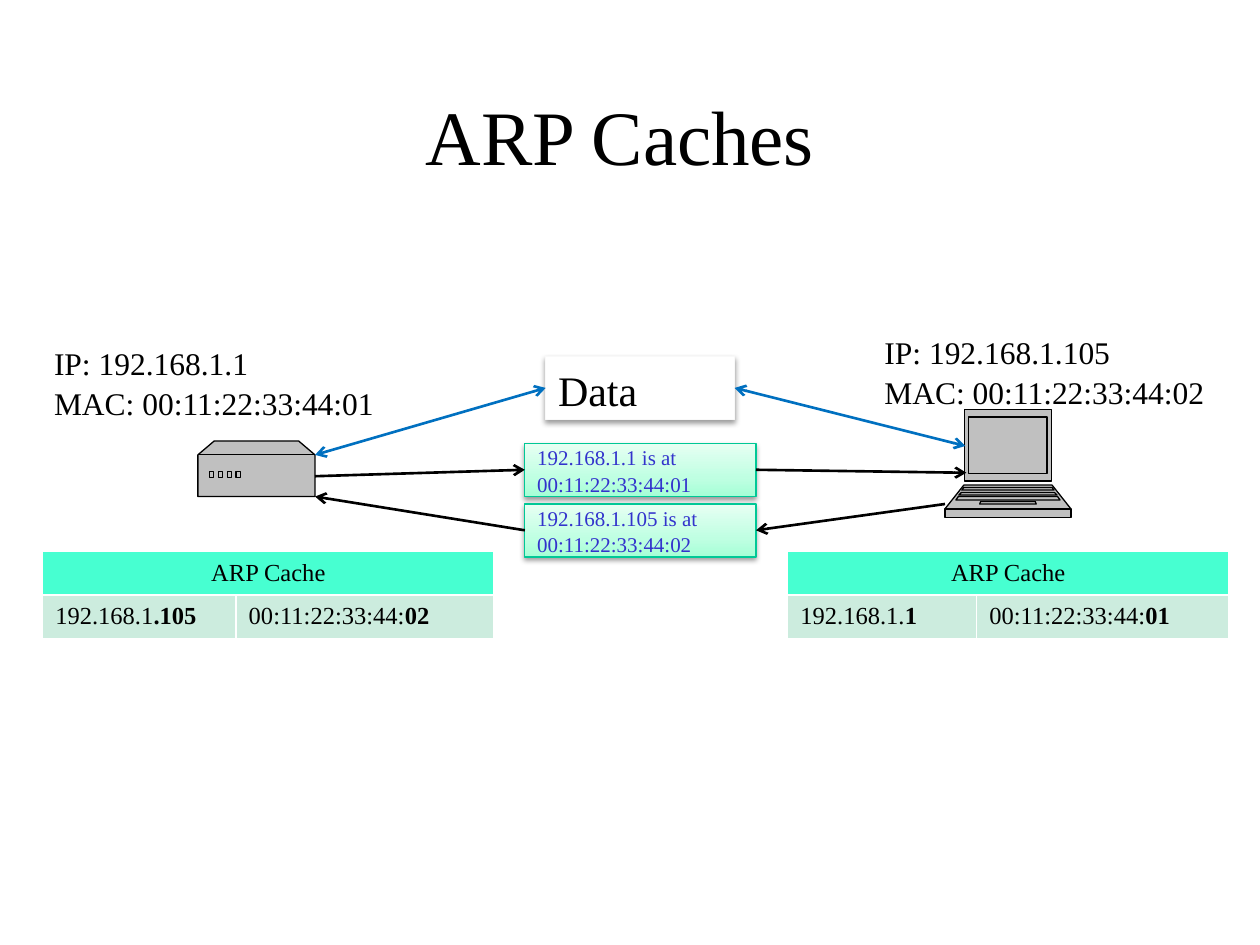
from copy import deepcopy

from lxml.etree import SubElement
from pptx import Presentation
from pptx.dml.color import RGBColor
from pptx.enum.shapes import MSO_CONNECTOR, MSO_SHAPE
from pptx.enum.text import MSO_ANCHOR, MSO_AUTO_SIZE, PP_ALIGN
from pptx.oxml.ns import qn
from pptx.util import Cm, Pt

BLACK = RGBColor(0x00, 0x00, 0x00)
WHITE = RGBColor(0xFF, 0xFF, 0xFF)
OFF_WHITE = RGBColor(0xF9, 0xF9, 0xF9)
SILVER = RGBColor(0xC0, 0xC0, 0xC0)
BLUE = RGBColor(0x00, 0x70, 0xC0)
INDIGO = RGBColor(0x33, 0x33, 0xCC)
GREEN = RGBColor(0x00, 0xC8, 0x96)
AQUA = RGBColor(0x47, 0xFF, 0xD1)
PALE_GREEN = RGBColor(0xCC, 0xEC, 0xDE)
MINT = [(0, RGBColor(0xA5, 0xFF, 0xD6)), (0.35, RGBColor(0xBF, 0xFF, 0xE2)),
        (1, RGBColor(0xE7, 0xFF, 0xF3))]


class Diagram:
    font = "Times New Roman"
    line_spacing = 1.05

    def __init__(self, page):
        self.page = page

    def add_text(self, para, parts, size, color=BLACK, align=PP_ALIGN.LEFT):
        """Add (text, bold) parts to a paragraph as runs."""
        para.alignment = align
        para.line_spacing = self.line_spacing
        for text, bold in parts:
            span = para.add_run()
            span.text = text
            span.font.name = self.font
            span.font.size = Pt(size)
            span.font.bold = bold
            span.font.color.rgb = color

    def title(self, text, left, top, width, height):
        box = self.page.shapes.title
        box.left, box.top, box.width, box.height = map(Cm, (left, top, width, height))
        frame = box.text_frame
        frame.auto_size = MSO_AUTO_SIZE.NONE
        frame.vertical_anchor = MSO_ANCHOR.TOP
        frame.margin_top = Cm(0.22)
        self.add_text(frame.paragraphs[0], [(text, False)], 44, align=PP_ALIGN.CENTER)

    def label(self, lines, left, top):
        box = self.page.shapes.add_textbox(Cm(left), Cm(top), Cm(7.42), Cm(1.68))
        frame = box.text_frame
        frame.word_wrap = False
        for index, line in enumerate(lines):
            para = frame.add_paragraph() if index else frame.paragraphs[0]
            self.add_text(para, [(line, False)], 18)

    def device(self, outlines):
        """Draw closed outlines as one shape, each with its own path."""
        scaled = [[(x * 1000, y * 1000) for x, y in outline] for outline in outlines]
        builder = self.page.shapes.build_freeform(*scaled[0][0], scale=Cm(1) / 1000)
        builder.add_line_segments(scaled[0][1:])
        for outline in scaled[1:]:
            builder.move_to(*outline[0])
            builder.add_line_segments(outline[1:])
        shape = builder.convert_to_shape()
        shape.shadow.inherit = False
        shape.fill.solid()
        shape.fill.fore_color.rgb = SILVER
        shape.line.color.rgb = BLACK
        shape.line.width = Pt(0.75)

        # Separate paths keep the inner outlines filled
        path_list = shape._element.spPr.find(".//" + qn("a:pathLst"))
        whole = path_list[0]
        for step in list(whole):
            if step.tag == qn("a:moveTo"):
                part = SubElement(path_list, qn("a:path"), dict(whole.attrib))
            part.append(step)
        path_list.remove(whole)

    def message(self, text, size, color, left, top, width, height, line, stops=None):
        box = self.page.shapes.add_shape(
            MSO_SHAPE.RECTANGLE, Cm(left), Cm(top), Cm(width), Cm(height))
        if stops:
            self.gradient(box, stops)
        else:
            box.fill.solid()
            box.fill.fore_color.rgb = WHITE
        box.line.color.rgb = line
        box.line.width = Pt(0.75)
        self.soft_shadow(box)
        frame = box.text_frame
        frame.word_wrap = True
        frame.vertical_anchor = MSO_ANCHOR.MIDDLE
        self.add_text(frame.paragraphs[0], [(text, False)], size, color)

    def gradient(self, box, stops):
        box.fill.gradient()
        box.fill.gradient_angle = 90
        stop_list = box._element.spPr.find(".//" + qn("a:gsLst"))
        stop_list.insert(1, deepcopy(stop_list[0]))
        for stop, (position, color) in zip(box.fill.gradient_stops, stops):
            stop.position = position
            stop.color.rgb = color

    def soft_shadow(self, box):
        box.shadow.inherit = False
        effects = box._element.spPr.find(qn("a:effectLst"))
        shadow = SubElement(effects, qn("a:outerShdw"), blurRad=str(Pt(3.1)),
                            dist=str(Pt(1.6)), dir="5400000", rotWithShape="0")
        color = SubElement(shadow, qn("a:srgbClr"), val=str(BLACK))
        SubElement(color, qn("a:alpha"), val="38000")

    def arrow(self, start, end, color=BLACK, both=False):
        link = self.page.shapes.add_connector(
            MSO_CONNECTOR.STRAIGHT, *map(Cm, (*start, *end)))
        link.line.color.rgb = color
        link.line.width = Pt(1.5)
        outline = link._element.spPr.find(qn("a:ln"))
        for end_name in ("a:headEnd", "a:tailEnd") if both else ("a:tailEnd",):
            SubElement(outline, qn(end_name), type="arrow")
        SubElement(link._element.spPr, qn("a:effectLst"))

    def cache(self, left, widths, entry):
        top, row_height = 11.12, 0.85
        table = self.page.shapes.add_table(
            2, 2, Cm(left), Cm(top), Cm(sum(widths)), Cm(2 * row_height)).table
        table.horz_banding = False
        for column, width in zip(table.columns, widths):
            column.width = Cm(width)
        for row, color in zip(table.rows, (AQUA, PALE_GREEN)):
            row.height = Cm(row_height)
            for cell in row.cells:
                cell.fill.solid()
                cell.fill.fore_color.rgb = color
        header = table.cell(0, 0)
        header.merge(table.cell(0, 1))
        self.add_text(header.text_frame.paragraphs[0], [("ARP Cache", False)], 14,
                      align=PP_ALIGN.CENTER)
        for column, (plain, strong) in enumerate(entry):
            para = table.cell(1, column).text_frame.paragraphs[0]
            self.add_text(para, [(plain, False), (strong, True)], 14)


def rectangle(left, top, width, height):
    right, bottom = left + width, top + height
    return [(left, top), (right, top), (right, bottom), (left, bottom), (left, top)]


def trapezoid(half_top, half_bottom, top, bottom, center=20.32):
    return [(center - half_top, top), (center - half_bottom, bottom),
            (center + half_bottom, bottom), (center + half_top, top),
            (center - half_top, top)]


def main():
    deck = Presentation()
    deck.slide_width, deck.slide_height = Cm(25.4), Cm(19.05)
    diagram = Diagram(deck.slides.add_slide(deck.slide_layouts[5]))
    diagram.title("ARP Caches", 0.84, 1.47, 23.32, 1.9)

    # Router: body, top edge and four lights
    body = [(3.99, 9.17), (4.32, 8.89), (6.02, 8.89), (6.35, 9.17),
            (6.35, 10.01), (3.99, 10.01), (3.99, 9.17)]
    edge = [(3.99, 9.17), (6.35, 9.17)]
    lights = [rectangle(4.22 + 0.18 * index, 9.5, 0.09, 0.13) for index in range(4)]
    diagram.device([body, edge, *lights])

    # Laptop: case, front, screen, key rows and touchpad
    diagram.device([trapezoid(*sizes) for sizes in (
        (0.88, 0.88, 8.26, 9.7), (0.89, 1.27, 9.78, 10.26),
        (1.27, 1.27, 10.26, 10.44), (0.79, 0.79, 8.41, 9.55),
        (0.89, 0.93, 9.83, 9.88), (0.55, 0.57, 10.11, 10.16),
        (0.94, 0.99, 9.93, 9.98), (1, 1.05, 10.01, 10.08))])

    # Addresses
    diagram.label(["IP: 192.168.1.1", "MAC: 00:11:22:33:44:01"], 0.84, 6.78)
    diagram.label(["IP: 192.168.1.105", "MAC: 00:11:22:33:44:02"], 17.58, 6.56)

    # Cache tables
    diagram.cache(0.86, (3.9, 5.2), [("192.168.1", ".105"), ("00:11:22:33:44:", "02")])
    diagram.cache(15.88, (3.81, 5.08), [("192.168.1.", "1"), ("00:11:22:33:44:", "01")])

    # Messages
    diagram.message("Data", 24, BLACK, 11, 7.19, 3.81, 1.27, OFF_WHITE)
    for text, top in (("192.168.1.1 is at 00:11:22:33:44:01", 8.94),
                      ("192.168.1.105 is at 00:11:22:33:44:02", 10.16)):
        diagram.message(text, 12, INDIGO, 10.58, top, 4.66, 1.07, GREEN, MINT)

    # Data flow, then the two ARP replies
    diagram.arrow((6.35, 9.17), (11, 7.82), BLUE, both=True)
    diagram.arrow((14.81, 7.82), (19.46, 8.99), BLUE, both=True)
    diagram.arrow((6.35, 9.6), (10.58, 9.47))
    diagram.arrow((15.24, 9.47), (19.48, 9.53))
    diagram.arrow((19.05, 10.16), (15.24, 10.69))
    diagram.arrow((10.58, 10.69), (6.35, 10.01))

    deck.save("out.pptx")


if __name__ == "__main__":
    main()
